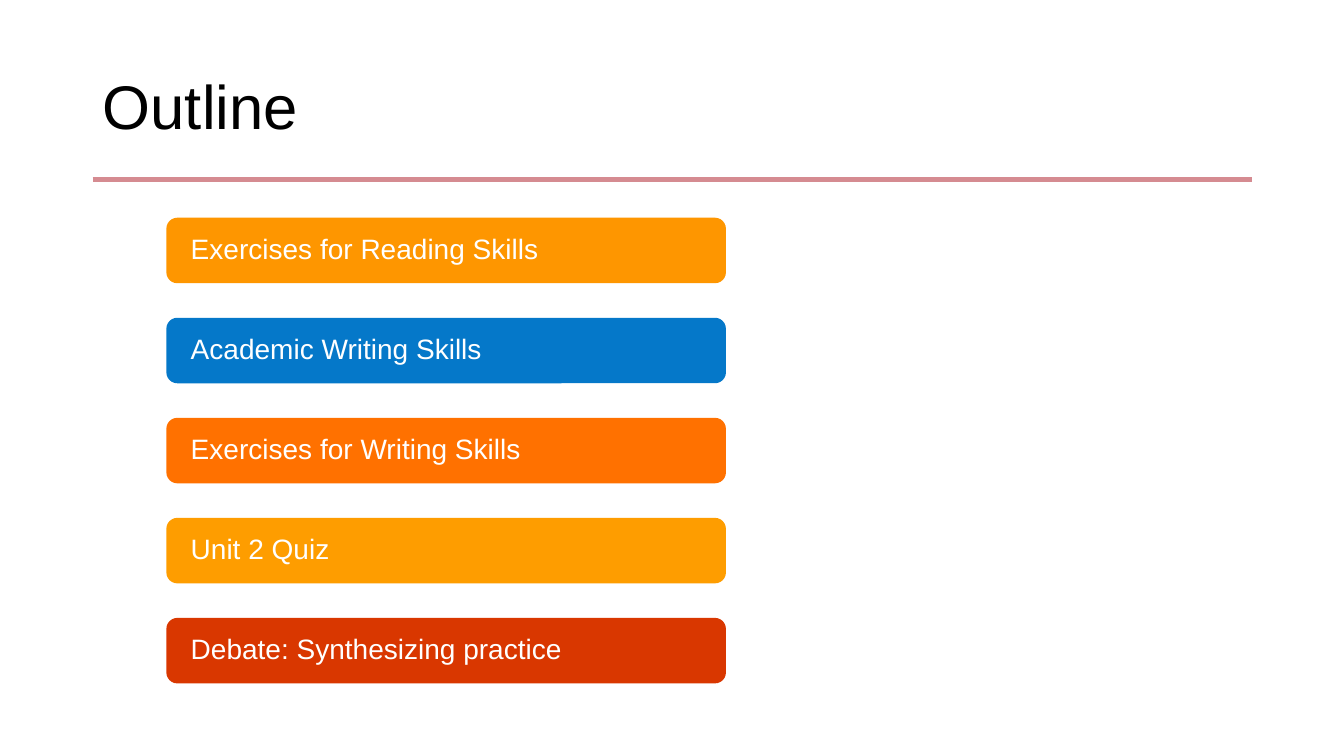
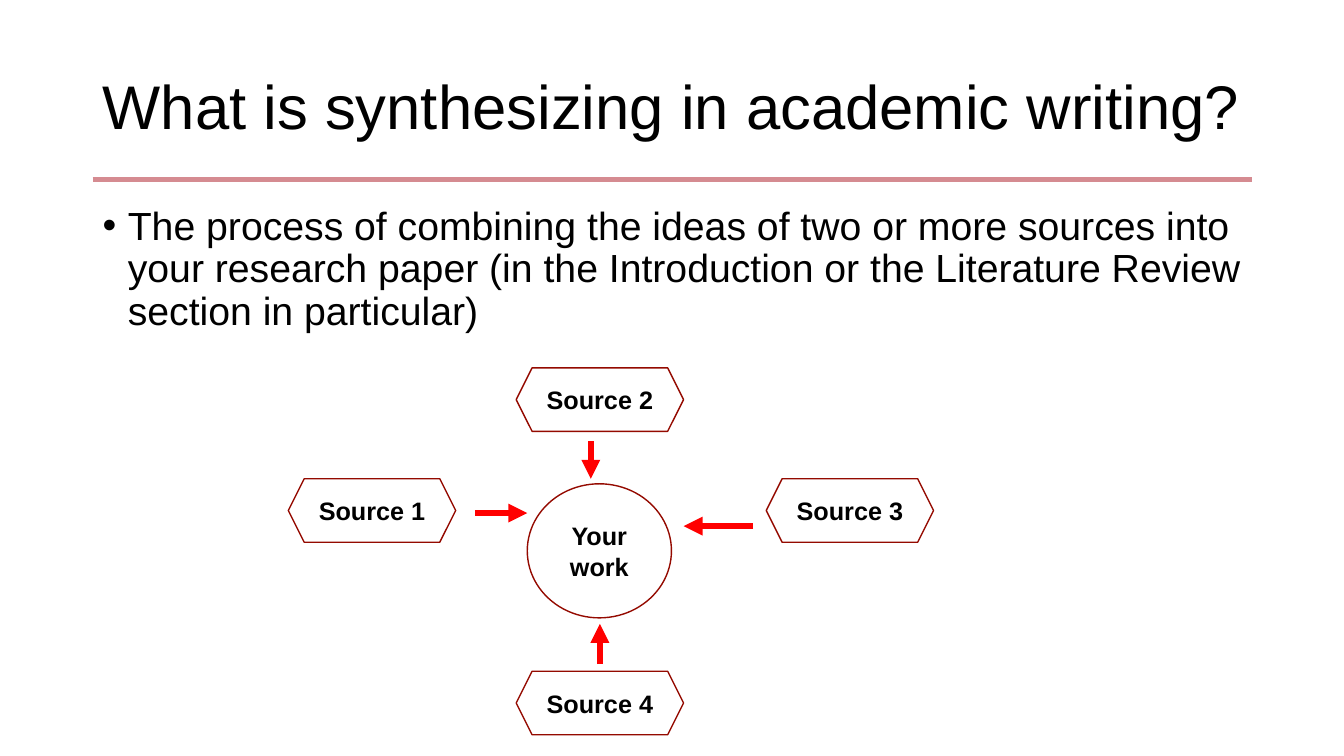
from dataclasses import dataclass

from pptx import Presentation
from pptx.dml.color import RGBColor
from pptx.enum.shapes import MSO_CONNECTOR, MSO_SHAPE
from pptx.enum.text import MSO_ANCHOR, MSO_AUTO_SIZE, PP_ALIGN
from pptx.oxml.ns import qn
from pptx.util import Inches, Pt
from lxml.etree import SubElement


@dataclass(frozen=True)
class Theme:
    font: str = "Arial"
    ink: str = "000000"
    paper: str = "FFFFFF"
    rule: str = "D58B91"
    outline: str = "940A00"
    arrow: str = "FF0000"
    title_size: int = 44
    body_size: int = 28
    bar_size: int = 20
    node_size: int = 18


THEME = Theme()
TITLE_ONLY = 5
TITLE_BOX = (0.92, 0.4, 11.5, 1.38)
BARS_BOX = (1.65, 2.16, 5.55, 4.62)
BODY_BOX = (0.92, 2, 11.5, 1.5)
DIAGRAM_BOX = (2.86, 3.65, 6.4, 3.64)

BAR_HEIGHT = 0.65
BARS = [
    ("Exercises for Reading Skills", "FE9600"),
    ("Academic Writing Skills", "0578C9"),
    ("Exercises for Writing Skills", "FF7100"),
    ("Unit 2 Quiz", "FE9D00"),
    ("Debate: Synthesizing practice", "D93700"),
]

# Places inside the diagram box
SOURCE_SIZE = (1.66, 0.63)
SOURCES = [
    ("Source 1", 0, 1.1),
    ("Source 4", 2.26, 3.01),
    ("Source 3", 4.74, 1.1),
    ("Source 2", 2.26, 0),
]
WORK_BOX = (2.37, 1.15, 1.43, 1.33)
ARROWS = [
    (3, 0.73, 3, 1.1),
    (4.61, 1.57, 3.92, 1.57),
    (1.85, 1.44, 2.37, 1.44),
    (3.09, 2.94, 3.09, 2.54),
]


def rgb(value):
    return RGBColor.from_string(value)


def inches(values):
    return [Inches(value) for value in values]


def set_attributes(target, values):
    for name, value in values.items():
        setattr(target, name, value)


def write_text(shape, text, size, color=THEME.ink, bold=False, frame=None, paragraph=None):
    """Write one paragraph; frame and paragraph are dicts of format values."""
    text_frame = shape.text_frame
    text_frame.text = text
    set_attributes(text_frame, {"word_wrap": True, "auto_size": MSO_AUTO_SIZE.NONE,
                                **(frame or {})})
    first = text_frame.paragraphs[0]
    set_attributes(first, paragraph or {})
    font = first.runs[0].font
    set_attributes(font, {"name": THEME.font, "size": Pt(size), "bold": bold})
    font.color.rgb = rgb(color)
    return first


def add_line(slide, ends, color, width, arrow=False):
    line = slide.shapes.add_connector(MSO_CONNECTOR.STRAIGHT, *inches(ends))
    line.line.color.rgb = rgb(color)
    line.line.width = Pt(width)
    properties = line._element.spPr
    if arrow:
        SubElement(properties.find(qn("a:ln")), qn("a:tailEnd"), type="triangle")
    SubElement(properties, qn("a:effectLst"))


def add_plain_shape(slide, kind, box, fill=None, outline=None):
    shape = slide.shapes.add_shape(kind, *inches(box))
    shape.shadow.inherit = False
    if fill:
        shape.fill.solid()
        shape.fill.fore_color.rgb = rgb(fill)
    else:
        shape.fill.background()
    if outline:
        shape.line.color.rgb = rgb(outline)
        shape.line.width = Pt(1)
    else:
        shape.line.fill.background()
    return shape


def add_titled_slide(presentation, text):
    slide = presentation.slides.add_slide(presentation.slide_layouts[TITLE_ONLY])
    left, top, width, height = TITLE_BOX
    add_line(slide, (left, top + height, left + width, top + height), THEME.rule, 3)
    title = slide.shapes.title
    set_attributes(title, dict(zip(("left", "top", "width", "height"), inches(TITLE_BOX))))
    write_text(title, text, THEME.title_size,
               frame={"vertical_anchor": MSO_ANCHOR.MIDDLE},
               paragraph={"alignment": PP_ALIGN.LEFT, "line_spacing": 0.9})
    return slide


def add_bars(slide, box):
    left, top, width, height = box
    pitch = (height - BAR_HEIGHT) / (len(BARS) - 1)
    for index, (text, color) in enumerate(BARS):
        bar = add_plain_shape(slide, MSO_SHAPE.ROUNDED_RECTANGLE,
                              (left, top + index * pitch, width, BAR_HEIGHT), fill=color)
        write_text(bar, text, THEME.bar_size, THEME.paper,
                   frame={"vertical_anchor": MSO_ANCHOR.MIDDLE, "margin_left": Inches(0.21),
                          "margin_top": 0, "margin_bottom": 0},
                   paragraph={"alignment": PP_ALIGN.LEFT, "line_spacing": 0.9})


def add_bullet(slide, box, text):
    body = slide.shapes.add_textbox(*inches(box))
    paragraph = write_text(body, text, THEME.body_size,
                           paragraph={"line_spacing": 0.9, "space_before": Pt(10)})
    properties = paragraph._p.get_or_add_pPr()
    properties.set("marL", str(Inches(0.25)))
    properties.set("indent", str(-Inches(0.25)))
    SubElement(properties, qn("a:buFont"), typeface=THEME.font)
    SubElement(properties, qn("a:buChar"), char="•")


def add_node(slide, kind, box, text):
    node = add_plain_shape(slide, kind, box, outline=THEME.outline)
    write_text(node, text, THEME.node_size, bold=True,
               frame={"vertical_anchor": MSO_ANCHOR.MIDDLE, "margin_left": 0,
                      "margin_right": 0},
               paragraph={"alignment": PP_ALIGN.CENTER})


def add_source_diagram(slide, box):
    left, top = box[:2]
    x, y, width, height = WORK_BOX
    add_node(slide, MSO_SHAPE.OVAL, (left + x, top + y, width, height), "Your work")
    for text, x, y in SOURCES:
        add_node(slide, MSO_SHAPE.HEXAGON, (left + x, top + y, *SOURCE_SIZE), text)
    for x1, y1, x2, y2 in ARROWS:
        add_line(slide, (left + x1, top + y1, left + x2, top + y2),
                 THEME.arrow, 4.5, arrow=True)


def build_outline(presentation):
    slide = add_titled_slide(presentation, "Outline")
    add_bars(slide, BARS_BOX)


def build_synthesizing(presentation):
    slide = add_titled_slide(presentation, "What is synthesizing in academic writing?")
    add_bullet(slide, BODY_BOX,
               "The process of combining the ideas of two or more sources into your "
               "research paper (in the Introduction or the Literature Review section "
               "in particular)")
    add_source_diagram(slide, DIAGRAM_BOX)


def main():
    presentation = Presentation()
    presentation.slide_width = Inches(13.33)
    presentation.slide_height = Inches(7.5)
    build_outline(presentation)
    build_synthesizing(presentation)
    presentation.save("out.pptx")


if __name__ == "__main__":
    main()
